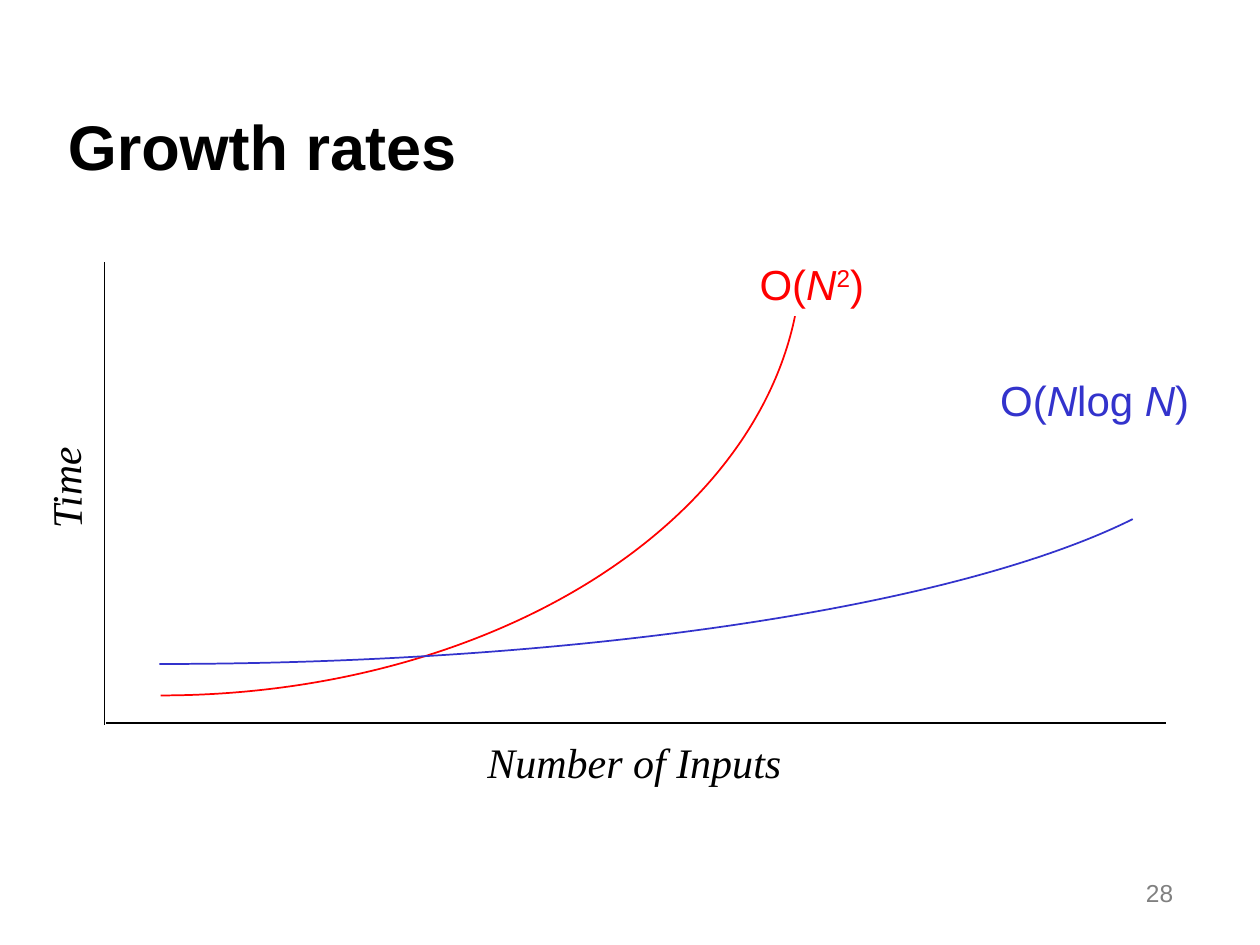
from math import asin, atan2, cos, degrees

from lxml.etree import SubElement
from pptx import Presentation
from pptx.dml.color import RGBColor
from pptx.enum.shapes import MSO_CONNECTOR, MSO_SHAPE
from pptx.enum.text import MSO_ANCHOR, PP_ALIGN
from pptx.oxml.ns import qn
from pptx.util import Inches, Pt

BLACK = RGBColor(0, 0, 0)
RED = RGBColor(0xFF, 0, 0)
BLUE = RGBColor(0x33, 0x33, 0xCC)
GRAY = RGBColor(0x80, 0x80, 0x80)

ITALIC = {"italic": True}
SUPERSCRIPT = 30000
ADJUSTMENT_PER_DEGREE = 0.6  # 60000 units a degree, 100000 units a whole

# box, runs of (text, extra font values, baseline), font values, colour, options
TEXTS = [
    ((0.44, 0.25, 8.42, 1.25), [("Growth rates", {}, 0)],
     {"name": "Arial", "size": Pt(36), "bold": True}, BLACK,
     {"anchor": MSO_ANCHOR.BOTTOM, "wrap": True}),
    ((3.77, 5.8, 2.54, 0.5), [("Number of Inputs", ITALIC, 0)],
     {"name": "Times New Roman", "size": Pt(24)}, BLACK, {}),
    ((0.08, 3.61, 0.87, 0.5), [("Time", ITALIC, 0)],
     {"name": "Times New Roman", "size": Pt(24)}, BLACK, {"rotation": 269}),
    ((5.93, 2, 1.03, 0.5),
     [("O(", {}, 0), ("N", ITALIC, 0), ("2", {}, SUPERSCRIPT), (")", {}, 0)],
     {"name": "Arial", "size": Pt(24)}, RED, {}),
    ((7.84, 2.92, 1.7, 0.5),
     [("O(", {}, 0), ("N", ITALIC, 0), ("log ", {}, 0), ("N", ITALIC, 0), (")", {}, 0)],
     {"name": "Arial", "size": Pt(24)}, BLUE, {}),
    ((7.33, 6.75, 2.08, 0.5), [("28", {}, 0)],
     {"name": "Arial", "size": Pt(14)}, GRAY,
     {"anchor": MSO_ANCHOR.BOTTOM, "wrap": True, "align": PP_ALIGN.RIGHT}),
]

AXES = [(0.83, 2.08, 0.83, 5.75), (0.84, 5.74, 9.25, 5.74)]

# box of the whole ellipse, height at which the curve ends, colour
CURVES = [
    ((-3.81, -1.48, 10.17, 7), 2.51, RED),
    ((-7.27, 1.27, 17.07, 4), 4.12, BLUE),
]


def add_text(s, box, runs, font, color, options):
    tb = s.shapes.add_textbox(*map(Inches, box))
    tb.rotation = options.get("rotation", 0)
    tf = tb.text_frame
    tf.word_wrap = options.get("wrap", False)
    tf.vertical_anchor = options.get("anchor", MSO_ANCHOR.TOP)
    p = tf.paragraphs[0]
    p.alignment = options.get("align", PP_ALIGN.LEFT)
    for text, extra, baseline in runs:
        r = p.add_run()
        r.text = text
        for key, value in {**font, **extra}.items():
            setattr(r.font, key, value)
        r.font.color.rgb = color
        if baseline:
            r.font._element.set("baseline", str(baseline))


def add_axis(s, ends):
    line = s.shapes.add_connector(MSO_CONNECTOR.STRAIGHT, *map(Inches, ends))
    line.line.color.rgb = BLACK
    line.line.width = Pt(1)
    SubElement(line._element.spPr, qn("a:effectLst"))


def add_curve(s, box, end_y, color):
    """Draw the arc of an ellipse from its lowest point rightwards up to end_y."""
    left, top, width, height = box
    rx, ry = width / 2, height / 2
    rise = end_y - top - ry
    run = rx * cos(asin(rise / ry))
    curve = s.shapes.add_shape(MSO_SHAPE.ARC, *map(Inches, box))
    curve.adjustments[0] = degrees(atan2(rise, run)) * ADJUSTMENT_PER_DEGREE
    curve.adjustments[1] = 90 * ADJUSTMENT_PER_DEGREE
    curve.shadow.inherit = False
    curve.fill.background()
    curve.line.color.rgb = color
    curve.line.width = Pt(1)


def main():
    prs = Presentation()
    prs.slide_width, prs.slide_height = Inches(10), Inches(7.5)
    s = prs.slides.add_slide(prs.slide_layouts[6])
    for ends in AXES:
        add_axis(s, ends)
    for curve in CURVES:
        add_curve(s, *curve)
    for text in TEXTS:
        add_text(s, *text)
    prs.save("out.pptx")


if __name__ == "__main__":
    main()
